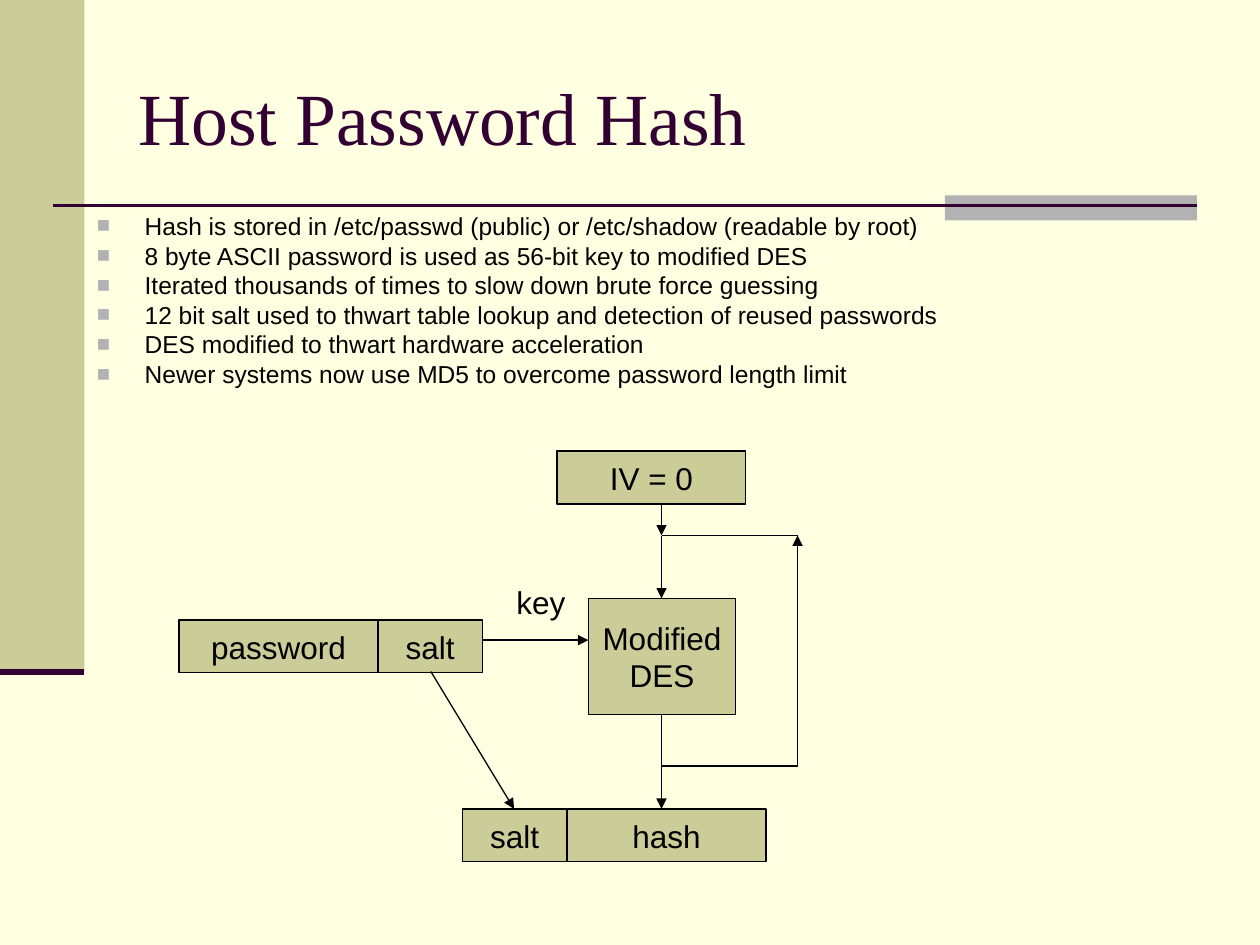
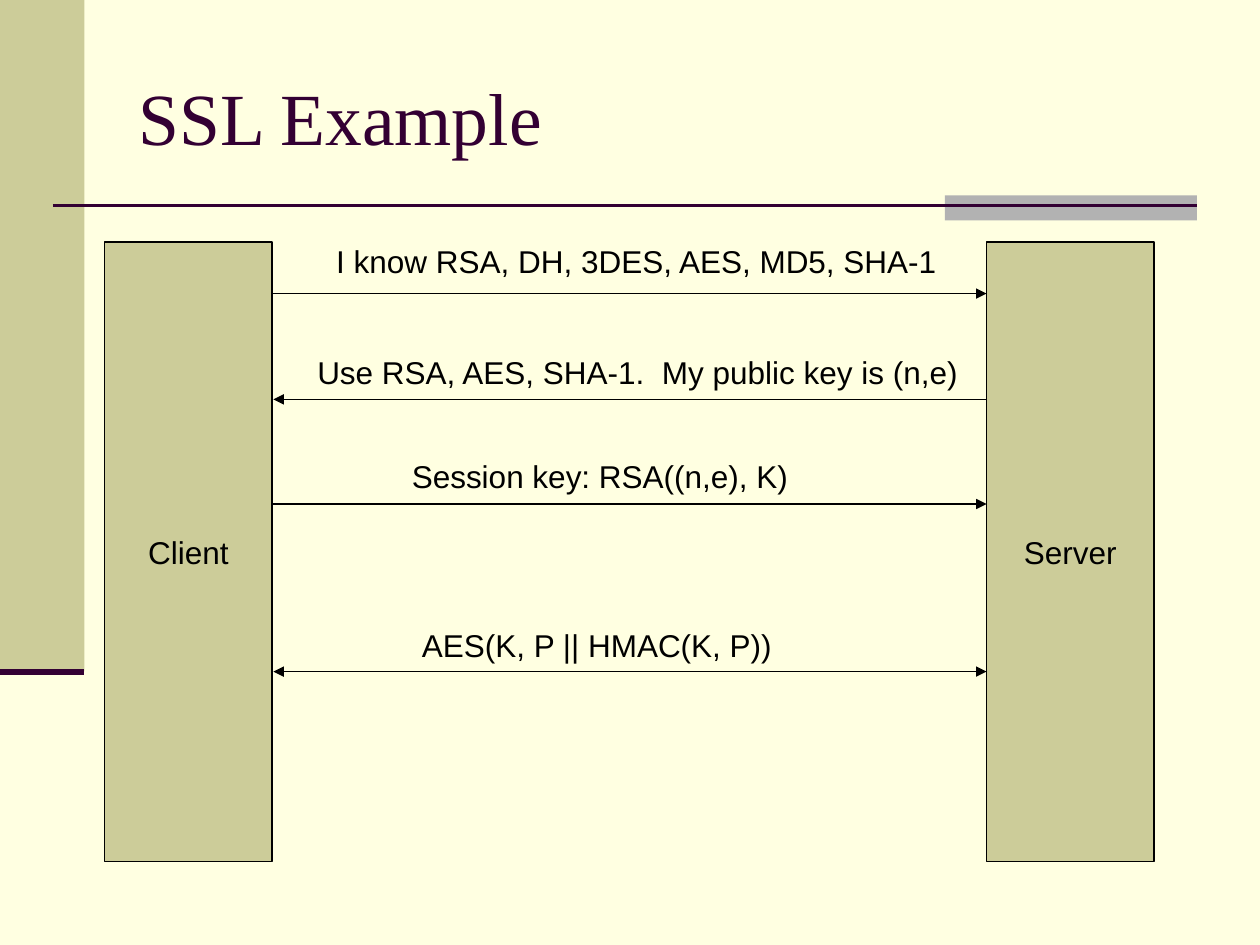
from lxml import etree
from pptx import Presentation
from pptx.dml.color import RGBColor
from pptx.enum.shapes import MSO_CONNECTOR, MSO_SHAPE
from pptx.enum.text import MSO_ANCHOR as ANCHOR, MSO_AUTO_SIZE as AUTO_SIZE, PP_ALIGN as ALIGN
from pptx.oxml.ns import qn
from pptx.util import Inches, Pt

COLORS = {
    "background": "FFFFE1",
    "khaki": "CCCC99",
    "gray": "B2B2B2",
    "plum": "330033",
    "black": "000000",
}
TITLE_FONT, BODY_FONT = "Times New Roman", "Arial"


def rgb(name):
    return RGBColor.from_string(COLORS[name])


class Deck:
    def __init__(self):
        self.prs = Presentation()
        self.prs.slide_width, self.prs.slide_height = Inches(10), Inches(7.5)
        self.slide = None

    def new_slide(self, title):
        """Start a slide with the shared background, bands and title."""
        self.slide = self.prs.slides.add_slide(self.prs.slide_layouts[6])
        fill = self.slide.background.fill
        fill.solid()
        fill.fore_color.rgb = rgb("background")
        self.rect(0, 0, 0.67, 5.33, "khaki")
        self.rect(7.5, 1.55, 2, 0.2, "gray")
        self.line((0.42, 1.63), (9.5, 1.63), color="plum", width=1.5)
        self.line((0, 5.33), (0.67, 5.33), color="plum", width=3.5)
        tf = self.text_frame(1, 0.3, 8.5, 1.25, wrap=True)
        tf.vertical_anchor = ANCHOR.MIDDLE
        self.add_run(tf.paragraphs[0], title, 42, TITLE_FONT, "plum")

    def add_run(self, p, text, size=18, font=BODY_FONT, color="black"):
        r = p.add_run()
        r.text = text
        r.font.size, r.font.name = Pt(size), font
        r.font.color.rgb = rgb(color)

    def text_frame(self, x, y, w, h, wrap=False):
        sp = self.slide.shapes.add_textbox(Inches(x), Inches(y), Inches(w), Inches(h))
        sp.text_frame.word_wrap = wrap
        return sp.text_frame

    def rect(self, x, y, w, h, fill):
        sp = self.slide.shapes.add_shape(
            MSO_SHAPE.RECTANGLE, Inches(x), Inches(y), Inches(w), Inches(h))
        sp.shadow.inherit = False
        sp.fill.solid()
        sp.fill.fore_color.rgb = rgb(fill)
        sp.line.fill.background()
        return sp

    def box(self, x, y, w, h, *lines):
        """Outlined khaki box with one centred paragraph per line."""
        sp = self.rect(x, y, w, h, "khaki")
        sp.line.color.rgb = rgb("black")
        sp.line.width = Pt(0.75)
        tf = sp.text_frame
        tf.word_wrap = False
        tf.vertical_anchor = ANCHOR.MIDDLE
        for i, text in enumerate(lines):
            p = tf.add_paragraph() if i else tf.paragraphs[0]
            p.alignment = ALIGN.CENTER
            self.add_run(p, text)

    def label(self, x, y, w, text):
        tf = self.text_frame(x, y, w, 0.4)
        tf.auto_size = AUTO_SIZE.SHAPE_TO_FIT_TEXT
        self.add_run(tf.paragraphs[0], text)

    def line(self, start, end, ends=(), color="black", width=0.75):
        """Straight line; ends lists the arrowheads: "headEnd", "tailEnd"."""
        points = [Inches(v) for v in (*start, *end)]
        cxn = self.slide.shapes.add_connector(MSO_CONNECTOR.STRAIGHT, *points)
        cxn.line.color.rgb = rgb(color)
        cxn.line.width = Pt(width)
        for end_name in ends:
            etree.SubElement(cxn.line._get_or_add_ln(), qn(f"a:{end_name}"), type="triangle")
        etree.SubElement(cxn._element.spPr, qn("a:effectLst"))

    def arrow(self, start, end, both=False):
        self.line(start, end, ("headEnd", "tailEnd") if both else ("tailEnd",))

    def bullets(self, x, y, w, h, items):
        tf = self.text_frame(x, y, w, h, wrap=True)
        for i, text in enumerate(items):
            p = tf.add_paragraph() if i else tf.paragraphs[0]
            p.line_spacing, p.space_before = 0.8, Pt(3.5)
            pPr = p._p.get_or_add_pPr()
            pPr.set("marL", str(Inches(0.38)))
            pPr.set("indent", str(-Inches(0.38)))
            clr = etree.SubElement(pPr, qn("a:buClr"))
            etree.SubElement(clr, qn("a:srgbClr"), val=COLORS["gray"])
            etree.SubElement(pPr, qn("a:buSzPct"), val="90000")
            etree.SubElement(pPr, qn("a:buFont"), typeface=BODY_FONT)
            etree.SubElement(pPr, qn("a:buChar"), char="■")
            self.add_run(p, text, 14)


def password_hash(deck):
    deck.new_slide("Host Password Hash")
    deck.bullets(0.67, 1.67, 8.83, 1.67, [
        "Hash is stored in /etc/passwd (public) or /etc/shadow (readable by root)",
        "8 byte ASCII password is used as 56-bit key to modified DES",
        "Iterated thousands of times to slow down brute force guessing",
        "12 bit salt used to thwart table lookup and detection of reused passwords",
        "DES modified to thwart hardware acceleration",
        "Newer systems now use MD5 to overcome password length limit",
    ])
    row_h, wide, narrow = 0.42, 1.58, 0.83
    input_y, output_y = 4.92, 6.42
    deck.box(4.42, 3.58, 1.5, row_h, "IV = 0")
    deck.box(4.67, 4.75, 1.17, 0.92, "Modified", "DES")
    deck.box(1.42, input_y, wide, row_h, "password")
    deck.box(3, input_y, narrow, row_h, "salt")
    deck.box(3.67, output_y, narrow, row_h, "salt")
    deck.box(4.5, output_y, wide, row_h, "hash")

    flow_x, loop_x = 5.25, 6.33
    loop_top, loop_bottom = 4.25, 6.08
    deck.arrow((flow_x, 4), (flow_x, loop_top))
    deck.arrow((flow_x, loop_top), (flow_x, 4.75))
    deck.line((flow_x, 5.67), (flow_x, loop_bottom))
    deck.arrow((flow_x, loop_bottom), (flow_x, output_y))
    deck.line((flow_x, loop_bottom), (loop_x, loop_bottom))
    deck.arrow((loop_x, loop_bottom), (loop_x, loop_top))
    deck.line((loop_x, loop_top), (flow_x, loop_top))
    deck.arrow((3.83, 5.08), (4.67, 5.08))
    deck.arrow((3.42, 5.33), (4.08, output_y))
    deck.label(4, 4.58, 0.59, "key")


def ssl_example(deck):
    deck.new_slide("SSL Example")
    for x, party in ((0.83, "Client"), (7.83, "Server")):
        deck.box(x, 1.92, 1.33, 4.92, party)

    client, server = 2.17, 7.83
    messages = [  # start, end, arrow y, both ways, label x, label y, label width, text
        (client, server, 2.33, False, 2.57, 1.87, 4.98, "I know RSA, DH, 3DES, AES, MD5, SHA-1"),
        (server, client, 3.17, False, 2.42, 2.75, 5.3, "Use RSA, AES, SHA-1.  My public key is (n,e)"),
        (client, server, 4, False, 3.17, 3.58, 3.2, "Session key: RSA((n,e), K)"),
        (client, server, 5.33, True, 3.25, 4.92, 2.98, "AES(K, P || HMAC(K, P))"),
    ]
    for start, end, y, both, label_x, label_y, label_w, text in messages:
        deck.arrow((start, y), (end, y), both)
        deck.label(label_x, label_y, label_w, text)


def main():
    deck = Deck()
    password_hash(deck)
    ssl_example(deck)
    deck.prs.save("out.pptx")


if __name__ == "__main__":
    main()
